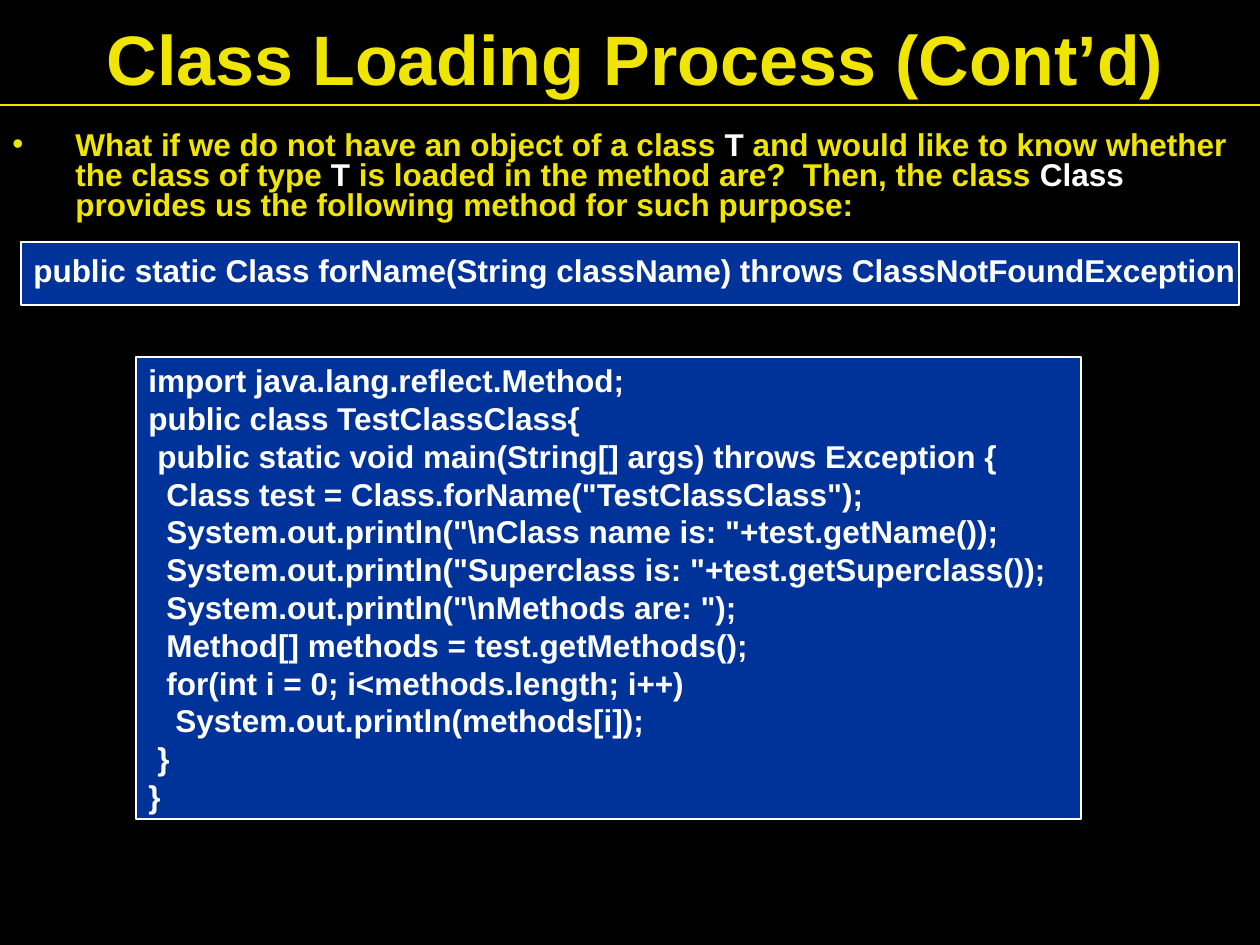
from dataclasses import dataclass

from lxml.etree import SubElement
from pptx import Presentation
from pptx.dml.color import RGBColor
from pptx.enum.shapes import MSO_CONNECTOR as Connector, MSO_SHAPE as Shape
from pptx.enum.text import MSO_ANCHOR as Anchor, MSO_AUTO_SIZE as AutoSize, PP_ALIGN as Align
from pptx.oxml.ns import qn
from pptx.util import Emu, Pt

PX_PER_INCH = 126
FONT = "Arial"
INDENT_PX = 9
COLORS = {
    "background": "000000",
    "accent": "F0E500",
    "panel": "003399",
    "light": "FFFFFF",
}


@dataclass(frozen=True)
class Span:
    text: str
    color: str = "light"
    size: int = 18


@dataclass(frozen=True)
class CodeLine:
    text: str
    level: int = 0


@dataclass(frozen=True)
class CodePanel:
    left: int
    top: int
    width: int
    height: int
    lines: tuple[CodeLine, ...]
    spacing: float = 1.0


TITLE = Span("Class Loading Process (Cont’d)", "accent", 40)

QUESTION = (
    Span("What if we do not have an object of a class ", "accent"),
    Span("T"),
    Span(" and would like to know whether the class of type ", "accent"),
    Span("T"),
    Span(" is loaded in the method are?  Then, the class ", "accent"),
    Span("Class"),
    Span(" provides us the following method for such purpose:", "accent"),
)

PANELS = (
    CodePanel(21, 242, 1218, 63, (
        CodeLine("public static Class forName(String className) throws ClassNotFoundException"),
    ), 0.8),
    CodePanel(136, 357, 945, 462, (
        CodeLine("import java.lang.reflect.Method;"),
        CodeLine("public class TestClassClass{"),
        CodeLine("public static void main(String[] args) throws Exception {", 1),
        CodeLine('Class test = Class.forName("TestClassClass");', 2),
        CodeLine('System.out.println("\\nClass name is: "+test.getName());', 2),
        CodeLine('System.out.println("Superclass is: "+test.getSuperclass());', 2),
        CodeLine('System.out.println("\\nMethods are: ");', 2),
        CodeLine("Method[] methods = test.getMethods();", 2),
        CodeLine("for(int i = 0; i<methods.length; i++)", 2),
        CodeLine("System.out.println(methods[i]);", 3),
        CodeLine("}", 1),
        CodeLine("}"),
    )),
)


def px(value: int) -> Emu:
    return Emu(round(value * 914400 / PX_PER_INCH))


def rgb(name: str) -> RGBColor:
    return RGBColor.from_string(COLORS[name])


def add_span(para, span: Span) -> None:
    run = para.add_run()
    run.text = span.text
    run.font.name = FONT
    run.font.size = Pt(span.size)
    run.font.bold = True
    run.font.color.rgb = rgb(span.color)


def set_indent(para, left: int, first: int = 0):
    properties = para._p.get_or_add_pPr()
    properties.set("marL", str(px(left)))
    properties.set("indent", str(px(first)))
    return properties


def draw_title(page) -> None:
    title = page.shapes.title
    title.left, title.top, title.width, title.height = map(px, (10, 10, 1250, 95))
    frame = title.text_frame
    frame.auto_size = AutoSize.NONE
    frame.vertical_anchor = Anchor.MIDDLE
    para = frame.paragraphs[0]
    para.alignment = Align.CENTER
    add_span(para, TITLE)


def draw_rule(page) -> None:
    rule = page.shapes.add_connector(Connector.STRAIGHT, px(0), px(105), px(1260), px(105))
    rule.line.color.rgb = rgb("accent")
    rule.line.width = Pt(1.5)
    SubElement(rule._element.spPr, qn("a:effectLst"))


def draw_question(page) -> None:
    box = page.shapes.add_textbox(px(0), px(126), px(1260), px(116))
    box.text_frame.word_wrap = True
    para = box.text_frame.paragraphs[0]
    para.line_spacing = 0.8
    para.space_before = Pt(11.2)
    properties = set_indent(para, 63, -63)
    bullet_color = SubElement(properties, qn("a:buClr"))
    SubElement(bullet_color, qn("a:srgbClr"), val=COLORS["accent"])
    SubElement(properties, qn("a:buFont"), typeface=FONT)
    SubElement(properties, qn("a:buChar"), char="•")
    for span in QUESTION:
        add_span(para, span)


def draw_panel(page, panel: CodePanel) -> None:
    bounds = map(px, (panel.left, panel.top, panel.width, panel.height))
    box = page.shapes.add_shape(Shape.RECTANGLE, *bounds)
    box.shadow.inherit = False
    box.fill.solid()
    box.fill.fore_color.rgb = rgb("panel")
    box.line.color.rgb = rgb("light")
    box.line.width = Pt(0.75)
    frame = box.text_frame
    frame.word_wrap = False
    frame.vertical_anchor = Anchor.MIDDLE
    for index, line in enumerate(panel.lines):
        para = frame.add_paragraph() if index else frame.paragraphs[0]
        para.alignment = Align.LEFT
        para.line_spacing = panel.spacing
        set_indent(para, line.level * INDENT_PX)
        add_span(para, Span(line.text))


def main() -> None:
    deck = Presentation()
    deck.slide_width, deck.slide_height = px(1260), px(945)
    page = deck.slides.add_slide(deck.slide_layouts[5])
    page.background.fill.solid()
    page.background.fill.fore_color.rgb = rgb("background")
    draw_question(page)
    draw_title(page)
    draw_rule(page)
    for panel in PANELS:
        draw_panel(page, panel)
    deck.save("out.pptx")


if __name__ == "__main__":
    main()
